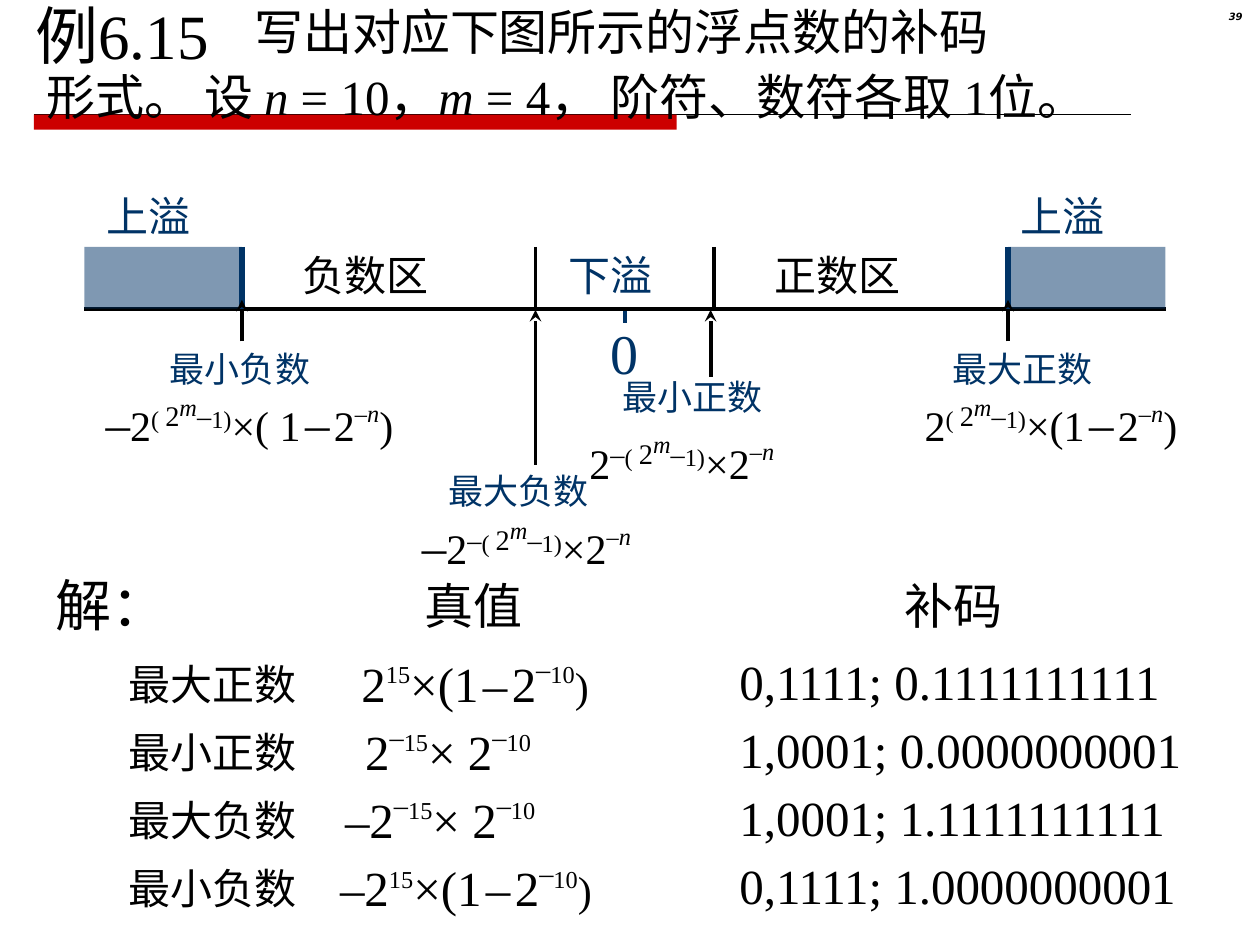
from dataclasses import dataclass

from lxml import etree
from pptx import Presentation
from pptx.dml.color import RGBColor
from pptx.enum import shapes, text
from pptx.oxml import ns
from pptx.util import Inches, Pt


@dataclass(frozen=True)
class Theme:
    """Colours, font and type sizes of the slide."""
    ink: str = "000000"
    navy: str = "003366"
    red: str = "CC0000"
    font: str = "Times New Roman"
    number_font: str = "DejaVu Sans"
    number: float = 5.7
    gap: int = 10
    label: int = 20
    body: int = 24
    large: int = 28
    head: int = 32
    title: int = 36


T = Theme()
EXPONENT = [("( ", T.body, 30), ("2", T.large, 30), ("m", T.body, 60, True),
            ("–", T.large, 30), ("1)", T.body, 30)]
MINUS = [(" ", T.gap), ("–", T.large), (" ", T.gap)]
TO_MINUS_N = [("–", T.body, 45), ("n", T.body, 45, True)]
BIGGEST = EXPONENT + [("×(1", T.body)] + MINUS + [("2", T.body)] + TO_MINUS_N + [(")", T.body)]
SMALLEST = [("–", T.large, 30)] + EXPONENT + [("×2", T.body)] + TO_MINUS_N
NEGATIVE = [("–", T.large), ("2", T.body)]
TO_MINUS_10 = [("–", T.large, 47), ("10", T.body, 45)]
BIG_VALUE = ([("15", T.body, 45), ("×(1", T.large)] + MINUS + [("2", T.large)]
             + TO_MINUS_10 + [(")", T.body)])
SMALL_VALUE = [("–", T.large, 47), ("15", T.body, 45), ("× 2", T.large)] + TO_MINUS_10


def add_runs(p, runs, color=T.ink, **extra):
    """Add (text, size, baseline, italic) runs to a paragraph."""
    for words, size, *rest in runs:
        base, italic = rest + [0, False][len(rest):]
        r = p.add_run()
        r.text = words
        fmt = {"size": Pt(size), "name": T.font, "italic": italic, **extra}
        for name, value in fmt.items():
            setattr(r.font, name, value)
        r.font.color.rgb = RGBColor.from_string(color)
        if base:
            r.font._element.set("baseline", str(base * 1000))


def add_text(s, x, y, w, h, runs, color=T.ink, wrap=False):
    """Add a one-paragraph text box and return its frame."""
    tf = s.shapes.add_textbox(Inches(x), Inches(y), Inches(w), Inches(h)).text_frame
    tf.word_wrap = wrap
    tf.auto_size = text.MSO_AUTO_SIZE.SHAPE_TO_FIT_TEXT
    add_runs(tf.paragraphs[0], runs, color)
    return tf


def add_line(s, x1, y1, x2, y2, color=T.ink, width=2.25, arrow=False):
    """Add a straight line, with a stealth head at its end if asked."""
    c = s.shapes.add_connector(shapes.MSO_CONNECTOR.STRAIGHT,
                               *(Inches(v) for v in (x1, y1, x2, y2)))
    c.line.color.rgb = RGBColor.from_string(color)
    c.line.width = Pt(width)
    if arrow:
        etree.SubElement(c.line._get_or_add_ln(), ns.qn("a:tailEnd"), type="stealth")
    etree.SubElement(c._element.spPr, ns.qn("a:effectLst"))


def add_block(s, x, y, w, h, color, alpha=100):
    """Add a plain filled rectangle."""
    sp = s.shapes.add_shape(shapes.MSO_SHAPE.RECTANGLE,
                            *(Inches(v) for v in (x, y, w, h)))
    sp.shadow.inherit = False
    sp.fill.solid()
    sp.fill.fore_color.rgb = RGBColor.from_string(color)
    sp.line.fill.background()
    if alpha < 100:
        clr = sp._element.spPr.find(ns.qn("a:solidFill"))[0]
        etree.SubElement(clr, ns.qn("a:alpha"), val=str(alpha * 1000))


def header(s, x, y, w):
    """Place the rule, slide number, title and problem statement."""
    add_line(s, x + 0.27, y + 0.99, x + 8.98, y + 0.99, T.ink, 0.75)
    add_block(s, x + 0.27, y + 0.99, 5.1, 0.12, T.red)

    tf = add_text(s, x + 9.37, y + 0.13, 0.59, 0.23, [], wrap=True)
    p = tf.paragraphs[0]
    p.alignment, p.line_spacing = text.PP_ALIGN.RIGHT, 0.8
    add_runs(p, [("39", T.number, 0, True)], name=T.number_font, bold=True)

    sp = s.shapes.title
    box = {"left": x + 0.18, "top": y, "width": 1.8, "height": 0.7}
    for name, value in box.items():
        setattr(sp, name, Inches(value))
    tf = sp.text_frame
    fmt = {"word_wrap": False, "vertical_anchor": text.MSO_ANCHOR.TOP,
           "auto_size": text.MSO_AUTO_SIZE.SHAPE_TO_FIT_TEXT}
    for name, value in fmt.items():
        setattr(tf, name, value)
    tf.paragraphs[0].alignment = text.PP_ALIGN.LEFT
    add_runs(tf.paragraphs[0], [("例6.15", T.title)])

    tf = add_text(s, x, y, w, 1.13, [("写出对应下图所示的浮点数的补码", T.large)], wrap=True)
    add_runs(tf.add_paragraph(), [
        ("形式。 设 ", T.large), ("n", T.large, 0, True), (" = 10，", T.large),
        ("m", T.large, 0, True), (" = 4， 阶符、数符各取 1位。", T.large)])
    for p, indent in zip(tf.paragraphs, (1.92, 0.27)):
        p.line_spacing = 1.1
        p._p.get_or_add_pPr().set("marL", str(Inches(indent)))


def number_axis(s, x, y, w):
    """Draw the number axis at height y with its zones and limits."""
    zone_w, zone_h = 1.25, 0.49
    right = w - zone_w
    add_line(s, x + w / 2, y + 0.11, x + w / 2, y, T.navy)
    add_line(s, x, y, x + w, y)
    for dx in (0, right):
        add_block(s, x + dx, y - zone_h, zone_w, zone_h, T.navy, 50)
    for dx, color, width in ((zone_w, T.navy, 3), (3.58, T.ink, 2.25),
                             (5, T.ink, 2.25), (right, T.navy, 3)):
        add_line(s, x + dx, y - zone_h, x + dx, y, color, width)

    for words, dx, dy, tw, color in (
            ("上溢", 0.08, -0.99, 0.95, T.navy), ("上溢", right, -0.99, 0.95, T.navy),
            ("负数区", 1.63, -0.52, 1.25, T.ink), ("正数区", 5.38, -0.52, 1.25, T.ink),
            ("下溢", 3.74, -0.52, 0.95, T.navy)):
        add_text(s, x + dx, y + dy, tw, 0.5, [(words, T.body)], color)
    add_text(s, x + 4.08, y + 0.03, 0.42, 0.64, [("0", T.head)], T.navy)

    limits = (
        ("最小负数", zone_w, -0.07, 0.26, 0.58, 0.26,
         NEGATIVE + [(r[0].replace("(1", "( 1"), *r[1:]) for r in BIGGEST], 0.07, 0.61, 2.55),
        ("最大正数", right, -0.07, 0.26, 6.79, 0.26,
         [("2", T.body)] + BIGGEST, 6.57, 0.61, 2.3),
        ("最小正数", 4.97, 0.01, 0.54, 4.17, 0.48,
         [("2", T.body)] + SMALLEST, 3.91, 0.91, 1.75),
        ("最大负数", 3.58, 0.01, 1.24, 2.79, 1.23,
         NEGATIVE + SMALLEST, 2.58, 1.59, 1.95))
    for name, dx, tip, tail, lx, ly, formula, fx, fy, fw in limits:
        add_line(s, x + dx, y + tail, x + dx, y + tip, arrow=True)
        add_text(s, x + lx, y + ly, 1.35, 0.44, [(name, T.label)], T.navy)
        add_text(s, x + fx, y + fy, fw, 0.57, formula)


def solution(s, x, y):
    """Place the headings and the four rows of values and codes."""
    add_text(s, x, y, 1.15, 0.64, [("解：", T.head)])
    for words, dx in (("真值", 2.93), ("补码", 6.74)):
        add_text(s, x + dx, y + 0.04, 1.1, 0.57, [(words, T.large)])
    rows = (
        ("最大正数", 2.43, 2.89, "2", BIG_VALUE, "0,1111; 0.1111111111"),
        ("最小正数", 2.46, 1.6, "2", SMALL_VALUE, "1,0001; 0.0000000001"),
        ("最大负数", 2.3, 1.8, "–2", SMALL_VALUE, "1,0001; 1.1111111111"),
        ("最小负数", 2.26, 2.98, "–2", BIG_VALUE, "0,1111; 1.0000000001"))
    for i, (name, dx, w, base, power, code) in enumerate(rows):
        top = y + 0.64 + 0.54 * i
        add_text(s, x + 0.58, top + 0.06, 1.6, 0.5, [(name, T.body)])
        add_text(s, x + dx, top, w, 0.59, [(base, T.large)] + power)
        add_text(s, x + 5.43, top, 3.85, 0.57, [(code, T.large)])


def main():
    """Build the slide and save it."""
    prs = Presentation()
    prs.slide_width, prs.slide_height = Inches(10), Inches(7.5)
    s = prs.slides.add_slide(prs.slide_layouts[5])
    header(s, 0, -0.08, 9.58)
    number_axis(s, 0.67, 2.45, 8.58)
    solution(s, 0.34, 4.48)
    prs.save("out.pptx")


if __name__ == "__main__":
    main()
